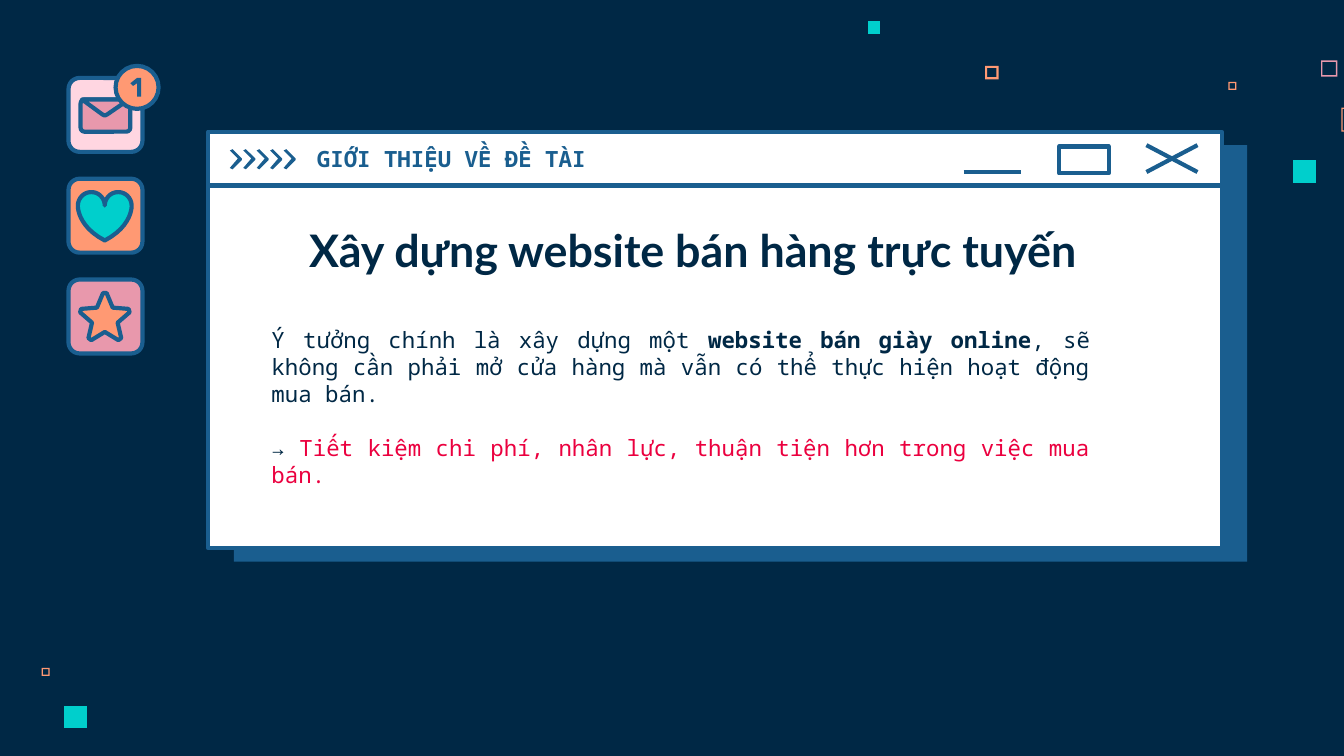
import math
from typing import NamedTuple

from lxml import etree
from pptx import Presentation
from pptx.dml.color import RGBColor
from pptx.enum.shapes import MSO_CONNECTOR, MSO_SHAPE
from pptx.enum.text import MSO_ANCHOR, MSO_AUTO_SIZE, PP_ALIGN
from pptx.oxml.ns import qn
from pptx.util import Inches, Pt

RECTANGLE = MSO_SHAPE.RECTANGLE
ROUNDED = MSO_SHAPE.ROUNDED_RECTANGLE
OVAL = MSO_SHAPE.OVAL
COLORS = {
    "navy": "002845", "blue": "1A5E8F", "white": "FFFFFF", "teal": "00CFCC",
    "orange": "FF9973", "rose": "E898AC", "pink": "FFD6E1", "red": "EB003F",
}
MONO = "Noto Sans Mono"
LINE_PITCH = Pt(14.4)
SLIDE_WIDTH = Inches(10)
SLIDE_HEIGHT = SLIDE_WIDTH * 9 // 16
Point = tuple[float, float]


class Pixel(NamedTuple):
    left: float
    top: float
    size: float
    color: str
    border: float = 0  # 0 gives a solid square


class Tile(NamedTuple):
    top: float
    color: str


class Span(NamedTuple):
    text: str
    color: str = "navy"
    bold: bool = False


PIXELS = [
    Pixel(9.83, 0.45, 0.12, "rose", 0.01),
    Pixel(9.14, 0.61, 0.06, "orange", 0.01),
    Pixel(9.62, 1.19, 0.17, "teal"),
    Pixel(7.33, 0.49, 0.1, "orange", 0.015),
    Pixel(6.46, 0.16, 0.09, "teal"),
    Pixel(0.31, 4.97, 0.06, "orange", 0.01),
    Pixel(0.48, 5.25, 0.17, "teal"),
]
TILES = [Tile(0.58, "pink"), Tile(1.33, "orange"), Tile(2.08, "rose")]
CONTROL_LINES = [
    ((1.55, 1.38), (9.1, 1.38)),  # title bar edge
    ((8.53, 1.08), (8.91, 1.28)),  # close cross
    ((8.91, 1.08), (8.53, 1.28)),
    ((7.17, 1.28), (7.6, 1.28)),  # minimise
]


def rgb(name: str) -> RGBColor:
    return RGBColor.from_string(COLORS[name])


def style_line(line) -> None:
    line.color.rgb = rgb("blue")
    line.width = Pt(2.25)
    etree.SubElement(line._get_or_add_ln(), qn("a:round"))


def style_shape(shape, fill: str | None, outlined: bool) -> None:
    shape.shadow.inherit = False
    if fill:
        shape.fill.solid()
        shape.fill.fore_color.rgb = rgb(fill)
    else:
        shape.fill.background()
    if outlined:
        style_line(shape.line)
    else:
        shape.line.fill.background()


def add_box(slide, kind, left: float, top: float, width: float, height: float,
            fill: str | None = None, outlined: bool = True, radius: float = 0) -> None:
    shape = slide.shapes.add_shape(kind, Inches(left), Inches(top), Inches(width), Inches(height))
    if kind == ROUNDED:
        shape.adjustments[0] = radius
    style_shape(shape, fill, outlined)


def add_outline(slide, contours: list[list[Point]], fill: str, outlined: bool = False) -> None:
    scaled = [[(Inches(x), Inches(y)) for x, y in contour] for contour in contours]
    builder = slide.shapes.build_freeform(*scaled[0][0], scale=1.0)
    for index, contour in enumerate(scaled):
        if index:
            builder.move_to(*contour[0])
        builder.add_line_segments(contour[1:], close=True)
    style_shape(builder.convert_to_shape(), fill, outlined)


def add_line(slide, start: Point, end: Point) -> None:
    connector = slide.shapes.add_connector(
        MSO_CONNECTOR.STRAIGHT, *(Inches(value) for value in (*start, *end)))
    style_line(connector.line)
    etree.SubElement(connector._element.spPr, qn("a:effectLst"))


def add_pixel(slide, pixel: Pixel) -> None:
    left, top, size, color, border = pixel
    right, bottom = left + size, top + size
    contours = [[(left, top), (left, bottom), (right, bottom), (right, top)]]
    if border:
        contours.append([(right - border, top + border), (right - border, bottom - border),
                         (left + border, bottom - border), (left + border, top + border)])
    add_outline(slide, contours, color)


def bezier(start: Point, first: Point, second: Point, end: Point, steps: int = 12) -> list[Point]:
    points = []
    for step in range(steps + 1):
        t = step / steps
        weights = ((1 - t) ** 3, 3 * t * (1 - t) ** 2, 3 * t * t * (1 - t), t ** 3)
        x, y = (sum(weight * value for weight, value in zip(weights, axis))
                for axis in zip(start, first, second, end))
        points.append((x, y))
    return points


def heart_points(center: float = 0.78) -> list[Point]:
    half = (bezier((0.78, 1.53), (0.78, 1.48), (0.74, 1.43), (0.68, 1.43))
            + bezier((0.68, 1.43), (0.62, 1.43), (0.58, 1.48), (0.58, 1.53))
            + bezier((0.58, 1.53), (0.58, 1.53), (0.57, 1.68), (0.78, 1.79)))
    return half + [(2 * center - x, y) for x, y in reversed(half)]


def star_points(x: float = 0.78, y: float = 2.37) -> list[Point]:
    points = []
    for tip in range(5):
        # Two points blunt each tip; the third is the notch after it
        for offset, radius in ((-4, 0.19), (4, 0.19), (36, 0.1)):
            angle = math.radians(72 * tip + offset - 90)
            points.append((x + radius * math.cos(angle), y + radius * math.sin(angle)))
    return points


def place_text(shape, left: float, top: float, width: float, height: float,
               anchor=MSO_ANCHOR.TOP) -> None:
    shape.left, shape.top = Inches(left), Inches(top)
    shape.width, shape.height = Inches(width), Inches(height)
    frame = shape.text_frame
    frame.word_wrap = True
    frame.auto_size = MSO_AUTO_SIZE.NONE
    frame.vertical_anchor = anchor
    frame.margin_left = frame.margin_right = Inches(0.1)
    frame.margin_top = frame.margin_bottom = Inches(0.1)


def write_spans(paragraph, spans: list[Span], *, size: float = 12, font: str = MONO,
                align=PP_ALIGN.LEFT, before=Pt(0), pitch=None) -> None:
    paragraph.alignment = align
    paragraph.space_before = before
    if pitch:
        paragraph.line_spacing = pitch
    for span in spans:
        run = paragraph.add_run()
        run.text = span.text
        run.font.name, run.font.size = font, Pt(size)
        run.font.bold = span.bold
        run.font.color.rgb = rgb(span.color)


def main() -> None:
    presentation = Presentation()
    presentation.slide_width, presentation.slide_height = SLIDE_WIDTH, SLIDE_HEIGHT
    slide = presentation.slides.add_slide(presentation.slide_layouts[0])
    slide.background.fill.solid()
    slide.background.fill.fore_color.rgb = rgb("navy")

    # Scattered pixels, the last one cut by the slide edge
    for pixel in PIXELS:
        add_pixel(slide, pixel)
    add_outline(slide, [[(10, 0.8), (9.98, 0.8), (9.98, 0.98), (10, 0.98),
                         (10, 0.97), (9.99, 0.97), (9.99, 0.81), (10, 0.81)]], "orange")

    # Window with its shadow and controls
    add_box(slide, ROUNDED, 1.74, 1.08, 7.54, 3.1, "blue", outlined=False)
    add_box(slide, ROUNDED, 1.55, 0.98, 7.54, 3.1, "white")
    for start, end in CONTROL_LINES:
        add_line(slide, start, end)
    add_box(slide, RECTANGLE, 7.88, 1.09, 0.37, 0.2)

    # Icon tiles
    for tile in TILES:
        add_box(slide, ROUNDED, 0.51, tile.top, 0.55, 0.55, tile.color, radius=0.15)
    add_outline(slide, [heart_points()], "teal", outlined=True)
    add_outline(slide, [star_points()], "orange", outlined=True)

    # Envelope and its badge
    add_box(slide, ROUNDED, 0.6, 0.74, 0.37, 0.24, "rose", radius=0.12)
    add_outline(slide, [[(0.61, 0.74), (0.76, 0.85), (0.78, 0.86), (0.8, 0.85), (0.96, 0.74)]],
                "rose", outlined=True)
    add_box(slide, OVAL, 0.86, 0.49, 0.32, 0.32, "orange")
    add_outline(slide, [[(1.02, 0.58), (0.97, 0.62), (0.99, 0.64), (1.02, 0.62),
                         (1.02, 0.72), (1.05, 0.72), (1.05, 0.58)]], "blue")

    # Chevrons and window label
    chevron = [(1.71, 1.12), (1.77, 1.18), (1.71, 1.25), (1.73, 1.26),
               (1.8, 1.19), (1.8, 1.18), (1.73, 1.11)]
    add_outline(slide, [[(x + 0.1 * index, y) for x, y in chevron] for index in range(5)], "blue")
    label = slide.shapes.add_textbox(0, 0, 0, 0)
    place_text(label, 2.26, 0.88, 2.53, 0.6, MSO_ANCHOR.MIDDLE)
    write_spans(label.text_frame.paragraphs[0], [Span("GIỚI THIỆU VỀ ĐỀ TÀI", "blue", True)])

    # Title and body, brought in front of the window
    title, body = slide.shapes.title, slide.placeholders[1]
    for placeholder in (body, title):
        slide.shapes._spTree.append(placeholder._element)
    place_text(title, 1.77, 1.56, 6.77, 0.75)
    write_spans(title.text_frame.paragraphs[0],
                [Span("Xây dựng website bán hàng trực tuyến", bold=True)],
                size=24, font="Lato", align=PP_ALIGN.CENTER)
    place_text(body, 1.92, 2.33, 6.29, 1)
    write_spans(body.text_frame.paragraphs[0], [
        Span("Ý tưởng chính là xây dựng một "),
        Span("website bán giày online", bold=True),
        Span(", sẽ không cần phải mở cửa hàng mà vẫn có thể thực hiện hoạt động mua bán."),
    ], align=PP_ALIGN.JUSTIFY, pitch=LINE_PITCH)
    write_spans(body.text_frame.add_paragraph(), [
        Span("→ "),
        Span("Tiết kiệm chi phí, nhân lực, thuận tiện hơn trong việc mua bán.", "red"),
    ], align=PP_ALIGN.JUSTIFY, before=LINE_PITCH, pitch=LINE_PITCH)

    presentation.save("out.pptx")


if __name__ == "__main__":
    main()
